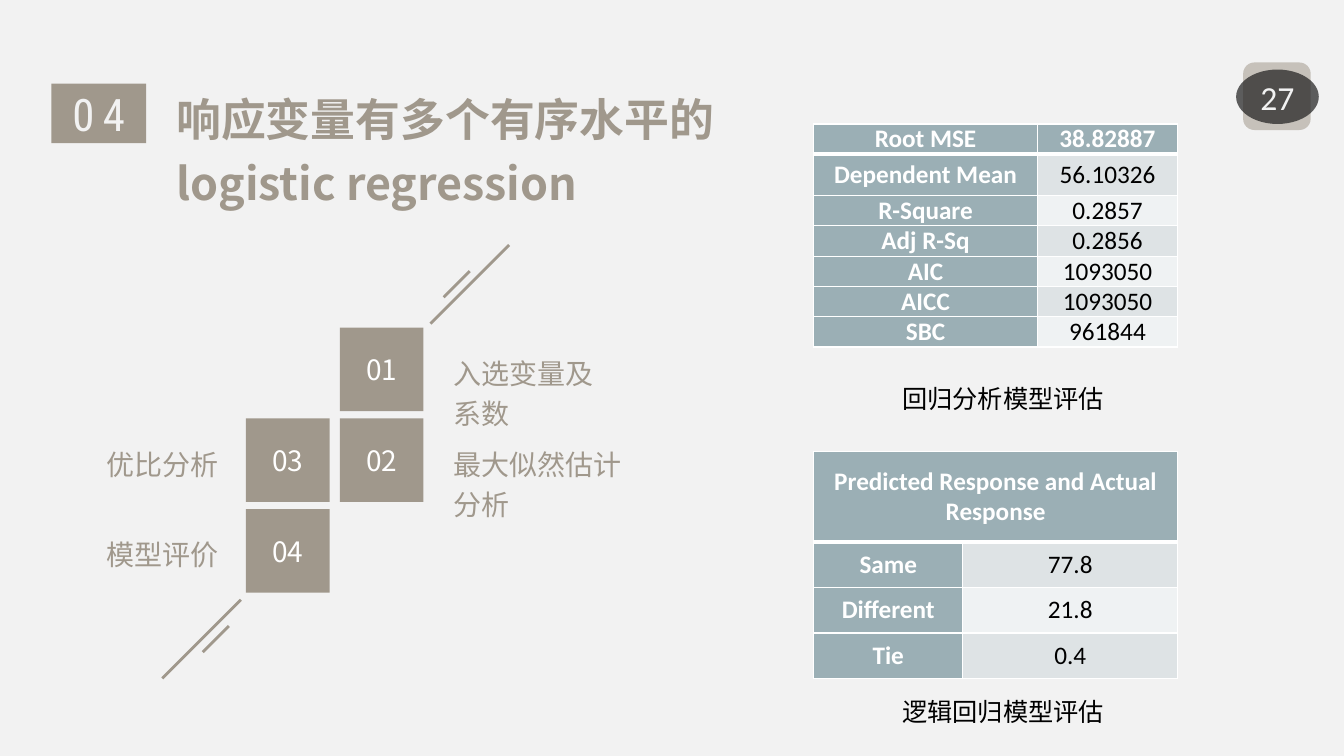
from lxml import etree
from pptx import Presentation
from pptx.dml.color import RGBColor
from pptx.enum.shapes import MSO_CONNECTOR, MSO_SHAPE
from pptx.enum.text import MSO_ANCHOR, PP_ALIGN
from pptx.oxml.ns import qn
from pptx.util import Inches, Pt

LEFT, CENTER, RIGHT = PP_ALIGN.LEFT, PP_ALIGN.CENTER, PP_ALIGN.RIGHT
RECT, ROUND, OVAL = MSO_SHAPE.RECTANGLE, MSO_SHAPE.ROUNDED_RECTANGLE, MSO_SHAPE.OVAL
MIDDLE = MSO_ANCHOR.MIDDLE
CJK, BODY, NARROW = "Noto Sans CJK SC", "Calibri", "Roboto Condensed"
COLORS = {"bg": "F2F2F2", "taupe": "A0988C", "tab": "C6C1BA", "dark": "1D1D1D",
          "white": "FFFFFF", "black": "000000", "head": "9BAFB5",
          "band": "DEE3E5", "plain": "EFF2F3"}

SECTION, PAGE = "04", "27"
TITLE = "响应变量有多个有序水平的logistic regression"
# number, grid column, grid row, label, label width
STEPS = [("01", 1, 0, "入选变量及系数", 1.62),
         ("02", 1, 1, "最大似然估计分析", 1.92),
         ("03", 0, 1, "优比分析", 1.59),
         ("04", 0, 2, "模型评价", 1.59)]
# right end, top, run of each 45-degree stroke
SLASHES = [(5.05, 2.43, 0.78), (4.66, 2.69, 0.26),
           (2.39, 5.95, 0.78), (2.27, 6.21, 0.26)]
FIT = [("Root MSE", "38.82887"), ("Dependent Mean", "56.10326"),
       ("R-Square", "0.2857"), ("Adj R-Sq", "0.2856"), ("AIC", "1093050"),
       ("AICC", "1093050"), ("SBC", "961844")]
RESPONSE = [("Predicted Response and Actual Response", ""), ("Same", "77.8"),
            ("Different", "21.8"), ("Tie", "0.4")]
CAPTIONS = [("回归分析模型评估", 3.75, "Arial"), ("逻辑回归模型评估", 6.86, BODY)]

GRID_X, GRID_Y, SQUARE, STEP_X, STEP_Y = 2.44, 3.25, 0.83, 0.93, 0.9
TABLE_X = 8.07

prs = Presentation()
prs.slide_width, prs.slide_height = Inches(13.33), Inches(7.5)
s = prs.slides.add_slide(prs.slide_layouts[6])


def rgb(name):
    return RGBColor.from_string(COLORS[name])


def paint(fill, color):
    fill.solid()
    fill.fore_color.rgb = rgb(color)


def write(tf, text, size, font, color, align=LEFT, bold=False, spacing=None):
    tf.text = text
    p = tf.paragraphs[0]
    p.alignment = align
    if spacing:
        p.line_spacing = spacing
    r = p.runs[0]
    r.font.size, r.font.name, r.font.bold = Pt(size), font, bold
    r.font.color.rgb = rgb(color)
    ea = etree.SubElement(r.font._element, qn("a:ea"))
    ea.set("typeface", CJK)
    return r


def block(kind, x, y, w, h, color):
    sp = s.shapes.add_shape(kind, Inches(x), Inches(y), Inches(w), Inches(h))
    sp.shadow.inherit = False
    sp.line.fill.background()
    paint(sp.fill, color)
    sp.text_frame.vertical_anchor = MIDDLE
    return sp


def label(text, x, y, w, h, size, font, color, **style):
    sp = s.shapes.add_textbox(Inches(x), Inches(y), Inches(w), Inches(h))
    sp.text_frame.word_wrap = True
    write(sp.text_frame, text, size, font, color, **style)


def border(cell, bottom):
    """White rules round a cell; the bottom one has its own width."""
    props = cell._tc.get_or_add_tcPr()
    for i, (side, width) in enumerate([("L", 1), ("R", 1), ("T", 1), ("B", bottom)]):
        ln = etree.Element(qn("a:ln" + side), w=str(Pt(width)))
        fill = etree.SubElement(ln, qn("a:solidFill"))
        etree.SubElement(fill, qn("a:srgbClr"), val=COLORS["white"])
        props.insert(i, ln)


def table(rows, y, widths, heights, margin, merged=False):
    """Header row and header column in one colour, banded values beside them."""
    t = s.shapes.add_table(len(rows), 2, Inches(TABLE_X), Inches(y),
                           Inches(sum(widths)), Inches(sum(heights))).table
    for col, width in zip(t.columns, widths):
        col.width = Inches(width)
    for i, (row, height) in enumerate(zip(rows, heights)):
        t.rows[i].height = Inches(height)
        for j, text in enumerate(row):
            cell = t.cell(i, j)
            head = i == 0 or j == 0
            paint(cell.fill, "head" if head else "band" if i % 2 else "plain")
            border(cell, 3 if i == 0 else 1)
            cell.vertical_anchor = MIDDLE
            cell.margin_left = cell.margin_right = Inches(margin)
            cell.margin_top = cell.margin_bottom = 0
            if text:
                write(cell.text_frame, text, 18, BODY,
                      "white" if head else "black", CENTER, head)
    if merged:
        t.cell(0, 0).merge(t.cell(0, 1))


paint(s.background.fill, "bg")

badge = block(RECT, 0.51, 0.83, 0.94, 0.59, "taupe")
number = write(badge.text_frame, SECTION, 32, NARROW, "bg", CENTER)
number.font._element.set("spc", "600")
label(TITLE, 1.65, 0.75, 6.16, 1.39, 32, CJK, "taupe", bold=True, spacing=1.2)
block(ROUND, 12.33, 0.62, 0.67, 0.67, "tab")

for num, col, row, text, width in STEPS:
    x, y = GRID_X + col * STEP_X, GRID_Y + row * STEP_Y
    square = block(RECT, x, y, SQUARE, SQUARE, "taupe")
    write(square.text_frame, num, 20, CJK, "white", CENTER)
    label_x = x + SQUARE + 0.2 if col else x - 0.17 - width
    label(text, label_x, y + 0.17, width, 0.91 if col else 0.47, 20, CJK, "taupe",
          align=LEFT if col else RIGHT, spacing=1.2)

for x, y, run in SLASHES:
    line = s.shapes.add_connector(MSO_CONNECTOR.STRAIGHT, Inches(x), Inches(y),
                                  Inches(x - run), Inches(y + run))
    line.line.color.rgb, line.line.width = rgb("taupe"), Pt(2)
    etree.SubElement(line._element.spPr, qn("a:effectLst"))

page = block(OVAL, 12.26, 0.69, 0.82, 0.54, "dark")
shade = page._element.spPr.find(".//" + qn("a:srgbClr"))
etree.SubElement(shade, qn("a:alpha"), val="70000")
page.text_frame.margin_left = page.text_frame.margin_right = Inches(0.02)
write(page.text_frame, PAGE, 24, BODY, "bg", CENTER)

table(RESPONSE, 4.48, [1.48, 2.13], [0.9] + [0.45] * 3, 0.08, merged=True)
table(FIT, 1.23, [2.22, 1.39], [0.29, 0.41] + [0.3] * 5, 0.14)
for text, y, font in CAPTIONS:
    label(text, 8.85, y, 2.4, 0.4, 18, font, "black")

prs.save("out.pptx")
